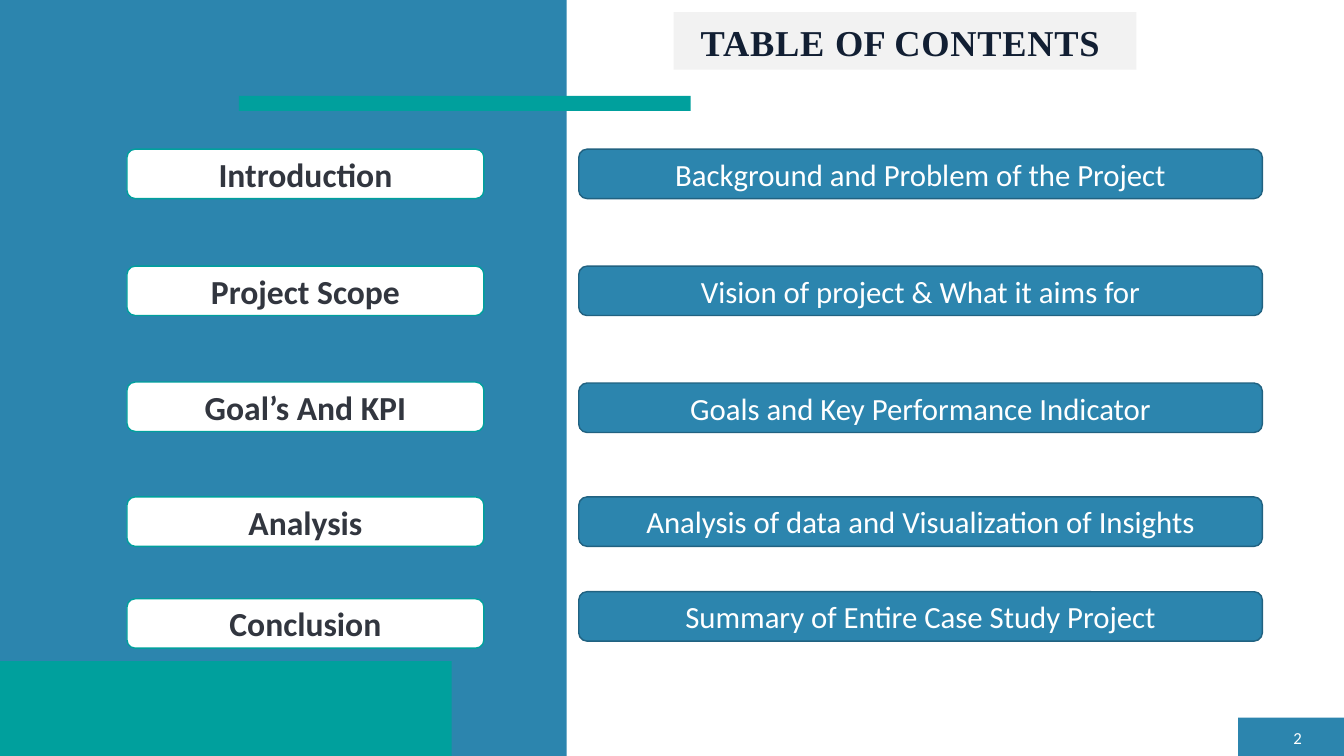
from pptx import Presentation
from pptx.dml.color import RGBColor
from pptx.enum.shapes import MSO_SHAPE
from pptx.enum.text import MSO_ANCHOR, MSO_AUTO_SIZE, PP_ALIGN
from pptx.util import Inches, Pt

BLUE, TEAL, WHITE = "2C85AE", "00A09D", "FFFFFF"
WIDTH, HEIGHT = 13.33, 7.5


def add_panel(preset, left, top, width, height, fill, outline=None):
    panel = slide.shapes.add_shape(
        preset, Inches(left), Inches(top), Inches(width), Inches(height))
    panel.shadow.inherit = False
    panel.fill.solid()
    panel.fill.fore_color.rgb = RGBColor.from_string(fill)
    if outline:
        panel.line.color.rgb = RGBColor.from_string(outline)
        panel.line.width = Pt(1)
    else:
        panel.line.fill.background()
    return panel


def add_run(paragraph, text, size, color, bold=False, font="Calibri"):
    run = paragraph.add_run()
    run.text = text
    run.font.size = Pt(size)
    run.font.name = font
    run.font.bold = bold
    run.font.color.rgb = RGBColor.from_string(color)
    return run


prs = Presentation()
prs.slide_width, prs.slide_height = Inches(WIDTH), Inches(HEIGHT)
slide = prs.slides.add_slide(prs.slide_layouts[5])

# Background bands
for left, top, width, height, fill in [
    (12.28, 7.12, 1.05, 0.38, BLUE),
    (0, 0, 5.62, HEIGHT, BLUE),
    (0, 6.56, 4.48, 0.94, TEAL),
    (2.37, 0.95, 4.48, 0.15, TEAL),
]:
    add_panel(MSO_SHAPE.RECTANGLE, left, top, width, height, fill)

# Title
title = slide.shapes.title
title.left, title.top = Inches(6.68), Inches(0.12)
title.width, title.height = Inches(4.59), Inches(0.57)
title.fill.solid()
title.fill.fore_color.rgb = RGBColor.from_string("F2F2F2")
heading = title.text_frame
heading.auto_size = MSO_AUTO_SIZE.NONE
heading.vertical_anchor = MSO_ANCHOR.BOTTOM
heading.margin_left = Inches(0.27)
heading_line = heading.paragraphs[0]
heading_line.alignment = PP_ALIGN.LEFT
heading_line.line_spacing = 0.9
for word, spacing in [("TABLE ", 50), ("OF ", 20), ("CONTENTS", 50)]:
    run = add_run(heading_line, word, 26, "121F33", True, "Times New Roman")
    run._r.get_or_add_rPr().set("spc", str(spacing))

# Page number
page_number = slide.shapes.add_textbox(
    Inches(12.6), Inches(7.2), Inches(0.41), Inches(0.23)).text_frame
page_number.word_wrap = True
page_number.vertical_anchor = MSO_ANCHOR.MIDDLE
page_number.paragraphs[0].alignment = PP_ALIGN.RIGHT
add_run(page_number.paragraphs[0], "2", 12, WHITE)

# Contents: section on the left, its description on the right
columns = [
    (1.26, 3.54, WHITE, TEAL, 24, "32363F", True),
    (5.74, 6.78, BLUE, "216281", 22, WHITE, False),
]
contents = [
    ("Introduction", 1.48, "Background and Problem of the Project", 1.48),
    ("Project Scope", 2.64, "Vision of project & What it aims for", 2.64),
    ("Goal’s And KPI", 3.79, "Goals and Key Performance Indicator", 3.8),
    ("Analysis", 4.93, "Analysis of data and Visualization of Insights", 4.93),
    ("Conclusion", 5.94, "Summary of Entire Case Study Project", 5.87),
]
for section, section_top, description, description_top in contents:
    entries = [(section, section_top), (description, description_top)]
    for (text, top), column in zip(entries, columns):
        left, width, fill, outline, size, color, bold = column
        entry = add_panel(MSO_SHAPE.ROUNDED_RECTANGLE,
                          left, top, width, 0.49, fill, outline).text_frame
        entry.word_wrap = True
        entry.vertical_anchor = MSO_ANCHOR.MIDDLE
        entry.paragraphs[0].alignment = PP_ALIGN.CENTER
        add_run(entry.paragraphs[0], text, size, color, bold)

prs.save("out.pptx")
